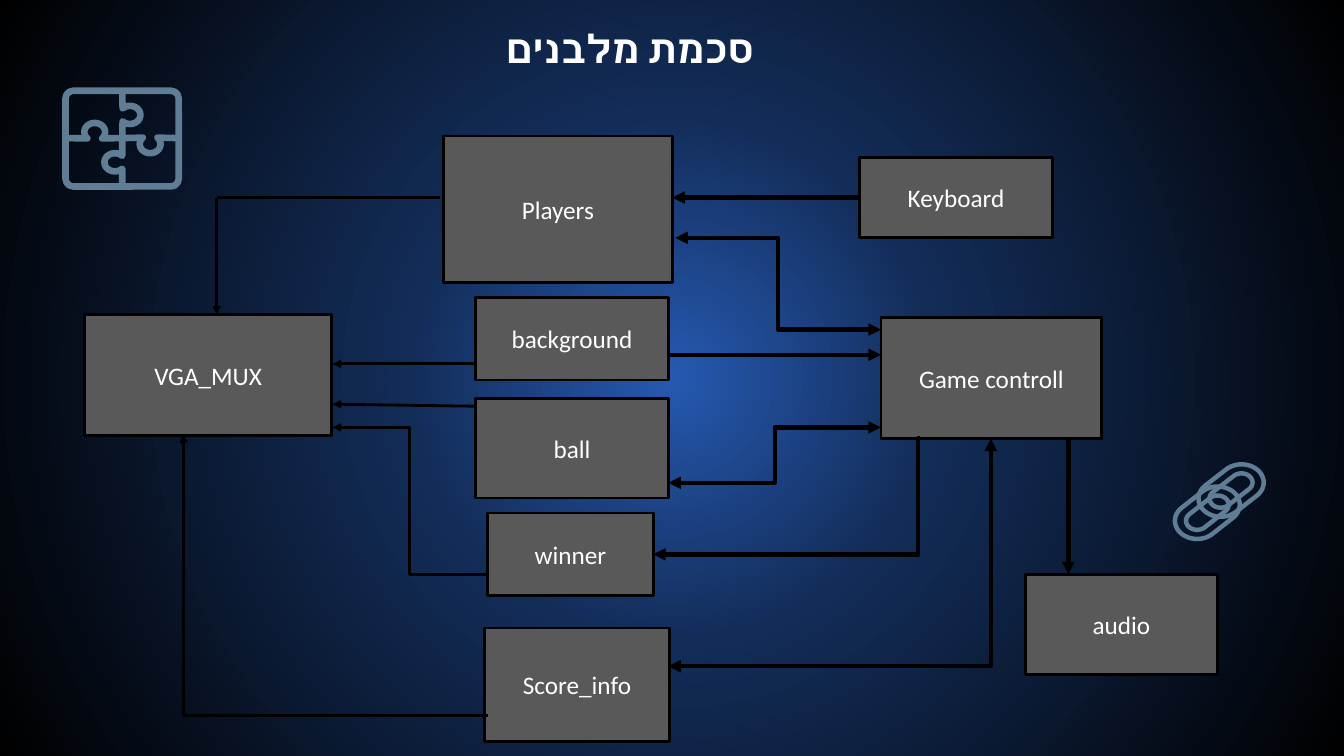
import math
from lxml import etree
from pptx import Presentation, util as u
from pptx.dml.color import RGBColor
from pptx.enum import shapes, text
from pptx.oxml.ns import qn

COLORS = {"glow": "2659B1", "navy": "132D59", "black": "000000",
          "box": "595959", "white": "FFFFFF", "icon": "5F7D95"}
RGB = {name: RGBColor.from_string(value) for name, value in COLORS.items()}

# The slide is 40 columns by 22.5 rows of square cells
CELL = u.Inches(1 / 3)

deck = Presentation()
deck.slide_width, deck.slide_height = 40 * CELL, int(22.5 * CELL)
page = deck.slides.add_slide(deck.slide_layouts[5])


def arc(center, radii, start, end):
    """Points along an elliptical arc, angles in degrees, clockwise."""
    angles = [math.radians(start + (end - start) * step / 24) for step in range(25)]
    return [(center[0] + radii[0] * math.cos(angle),
             center[1] + radii[1] * math.sin(angle)) for angle in angles]


def trace(points, width, close=False):
    """An unfilled icon stroke through points given in cells."""
    dots = [(round(x * CELL), round(y * CELL)) for x, y in points]
    builder = page.shapes.build_freeform(*dots[0])
    builder.add_line_segments(dots[1:], close=close)
    stroke = builder.convert_to_shape()
    stroke.shadow.inherit = False
    stroke.fill.background()
    stroke.line.color.rgb = RGB["icon"]
    stroke.line.width = u.Pt(width)


# Radial background
page.background.fill.gradient()
gradient = page._element.find(".//" + qn("a:gradFill"))
for child in list(gradient):
    gradient.remove(child)
stops = etree.SubElement(gradient, qn("a:gsLst"))
for share, name in [(0, "glow"), (34, "navy"), (100, "black")]:
    stop = etree.SubElement(stops, qn("a:gs"), pos=str(share * 1000))
    etree.SubElement(stop, qn("a:srgbClr"), val=COLORS[name])
circle = etree.SubElement(gradient, qn("a:path"), path="circle")
etree.SubElement(circle, qn("a:fillToRect"), l="50000", t="50000", r="50000", b="50000")

# Title
title = page.shapes.title
title.left, title.top, title.width, title.height = [
    int(size * CELL) for size in (1.5, 0.42, 34.5, 4.35)]
frame = title.text_frame
frame.word_wrap = True
frame.vertical_anchor = text.MSO_ANCHOR.TOP
frame.margin_left = frame.margin_right = u.Inches(0.1)
frame.margin_top = frame.margin_bottom = u.Inches(0.1)
para = frame.paragraphs[0]
para.alignment = text.PP_ALIGN.CENTER
para._p.get_or_add_pPr().set("rtl", "1")
span = para.add_run()
span.text = "סכמת מלבנים"
span.font.size, span.font.bold = u.Pt(28), True
span.font.name = "Vollkorn"
span.font.color.rgb = RGB["white"]
etree.SubElement(span._r.get_or_add_rPr(), qn("a:cs"), typeface="Vollkorn")

# Blocks: left, top, width, height
blocks = {
    "Keyboard": (25.59, 4.68, 5.73, 2.4),
    "VGA_MUX": (2.52, 9.36, 7.35, 3.6),
    "ball": (14.16, 11.85, 5.73, 2.97),
    "Score_info": (14.43, 18.69, 5.49, 3.39),
    "Players": (13.2, 4.05, 6.81, 4.35),
    "Game controll": (26.22, 9.45, 6.57, 3.6),
    "background": (14.16, 8.85, 5.73, 2.46),
    "winner": (14.52, 15.27, 4.92, 2.46),
    "audio": (30.51, 17.1, 5.73, 2.97),
}
boxes = {}
for label, place in blocks.items():
    box = page.shapes.add_shape(shapes.MSO_SHAPE.RECTANGLE,
                                *[int(size * CELL) for size in place])
    boxes[label] = box
    box.shadow.inherit = False
    box.fill.solid()
    box.fill.fore_color.rgb = RGB["box"]
    box.line.color.rgb = RGB["black"]
    box.line.width = u.Pt(2)
    box.text_frame.vertical_anchor = text.MSO_ANCHOR.MIDDLE
    para = box.text_frame.paragraphs[0]
    para.alignment = text.PP_ALIGN.CENTER
    span = para.add_run()
    span.text = label
    span.font.size, span.font.name = u.Pt(18), "Calibri"
    span.font.color.rgb = RGB["white"]

# Wires: start, end, line width, arrowheads, bend
# (a bend is the share of the way where an elbow turns, or a single corner)
END, BOTH = ["tailEnd"], ["headEnd", "tailEnd"]
wires = [
    ((6.45, 5.88), (13.11, 5.88), 2, [], None),
    ((14.46, 17.1), (9.9, 12.72), 2, END, 0.5),
    ((14.16, 12.09), (9.9, 12.03), 2, END, None),
    ((14.16, 10.83), (9.9, 10.83), 2, END, None),
    ((6.45, 5.88), (6.45, 9.36), 2, END, None),
    ((14.52, 21.3), (5.43, 12.93), 2, END, 0.996),
    ((25.59, 5.88), (20.01, 5.88), 3, END, None),
    ((19.89, 19.83), (29.49, 13.05), 3, BOTH, "corner"),
    ((26.22, 12.72), (19.89, 14.37), 3, BOTH, 0.5),
    ((26.22, 9.81), (20.1, 7.08), 3, BOTH, 0.5),
    ((19.89, 10.56), (26.22, 10.56), 3, END, None),
    ((31.8, 13.05), (31.8, 17.1), 3, END, None),
    ((27.39, 13.05), (19.44, 16.5), 3, END, 0.007),
]
for start, end, width, heads, bend in wires:
    kind = shapes.MSO_CONNECTOR.ELBOW if bend else shapes.MSO_CONNECTOR.STRAIGHT
    wire = page.shapes.add_connector(kind, *[int(size * CELL) for size in start + end])
    wire.line.color.rgb = RGB["black"]
    wire.line.width = u.Pt(width)
    properties = wire._element.spPr
    for head in heads:
        etree.SubElement(properties.find(qn("a:ln")), qn("a:" + head), type="triangle")
    etree.SubElement(properties, qn("a:effectLst"))
    outline = properties.find(qn("a:prstGeom"))
    if bend == "corner":
        outline.set("prst", "bentConnector2")
    elif bend:
        etree.SubElement(outline.find(qn("a:avLst")), qn("a:gd"), name="adj1",
                         fmla=f"val {round(bend * 100000)}")
    if start == (25.59, 5.88):
        wire.begin_connect(boxes["Keyboard"], 1)

# Puzzle icon: a rounded frame and two seams with knobs
puzzle = page.shapes.add_shape(shapes.MSO_SHAPE.ROUNDED_RECTANGLE,
                               *[int(size * CELL) for size in (1.95, 2.7, 3.37, 2.85)])
puzzle.adjustments[0] = 0.08
puzzle.shadow.inherit = False
puzzle.fill.background()
puzzle.line.color.rgb = RGB["icon"]
puzzle.line.width = u.Pt(4.7)
knob = (0.31, 0.27)
trace([(3.64, 2.7), *arc((3.87, 3.42), knob, 225, 495), (3.64, 4.11),
       *arc((3.42, 4.83), knob, -45, -315), (3.64, 5.55)], 4.7)
trace([(1.95, 4.11), *arc((2.82, 3.93), knob, 135, 405), (3.64, 4.11),
       *arc((4.47, 4.29), knob, 225, -45), (5.32, 4.11)], 4.7)

# Chain icon: two links, each an outer and an inner capsule
for upper, lower in [((36.95, 14.36), (36.33, 14.84)), ((36.24, 15.02), (35.63, 15.5))]:
    for radii in [(0.66, 0.54), (0.33, 0.27)]:
        trace(arc(upper, radii, -135, 45) + arc(lower, radii, 45, 225), 3.2, close=True)

deck.save("out.pptx")
